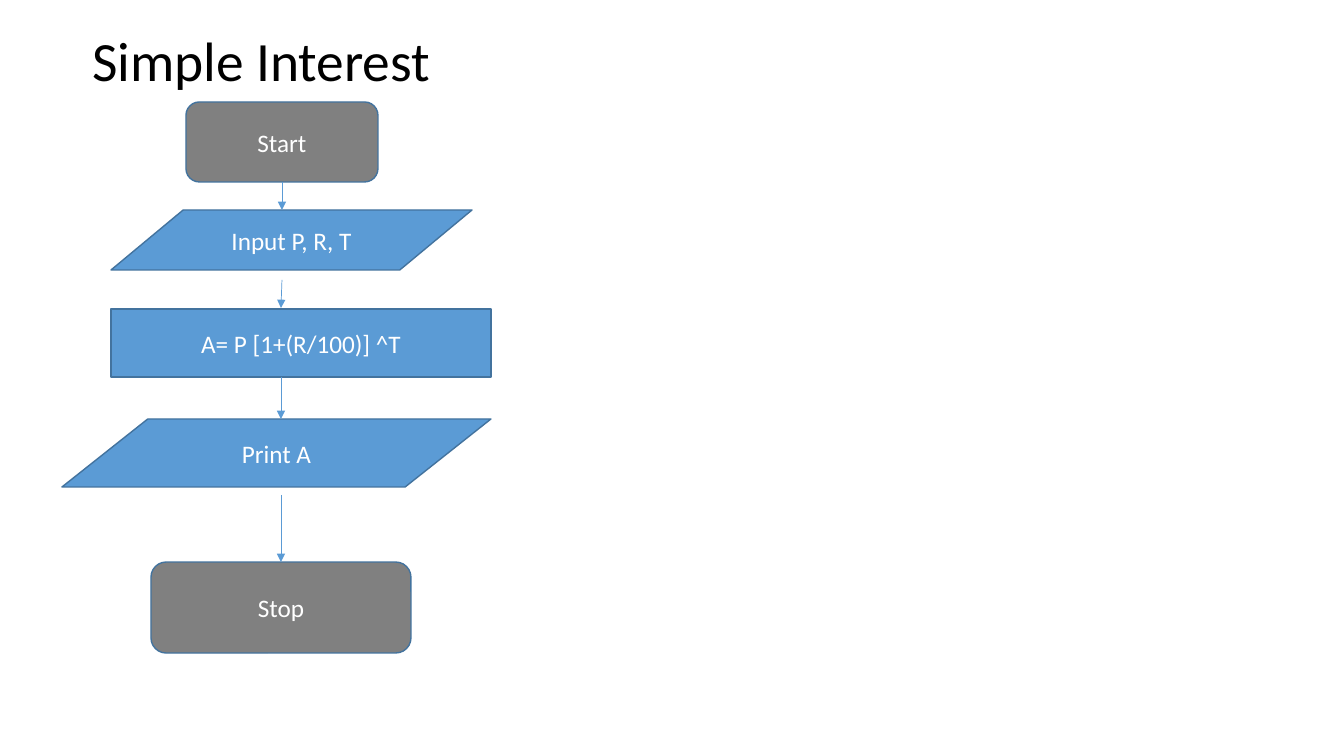
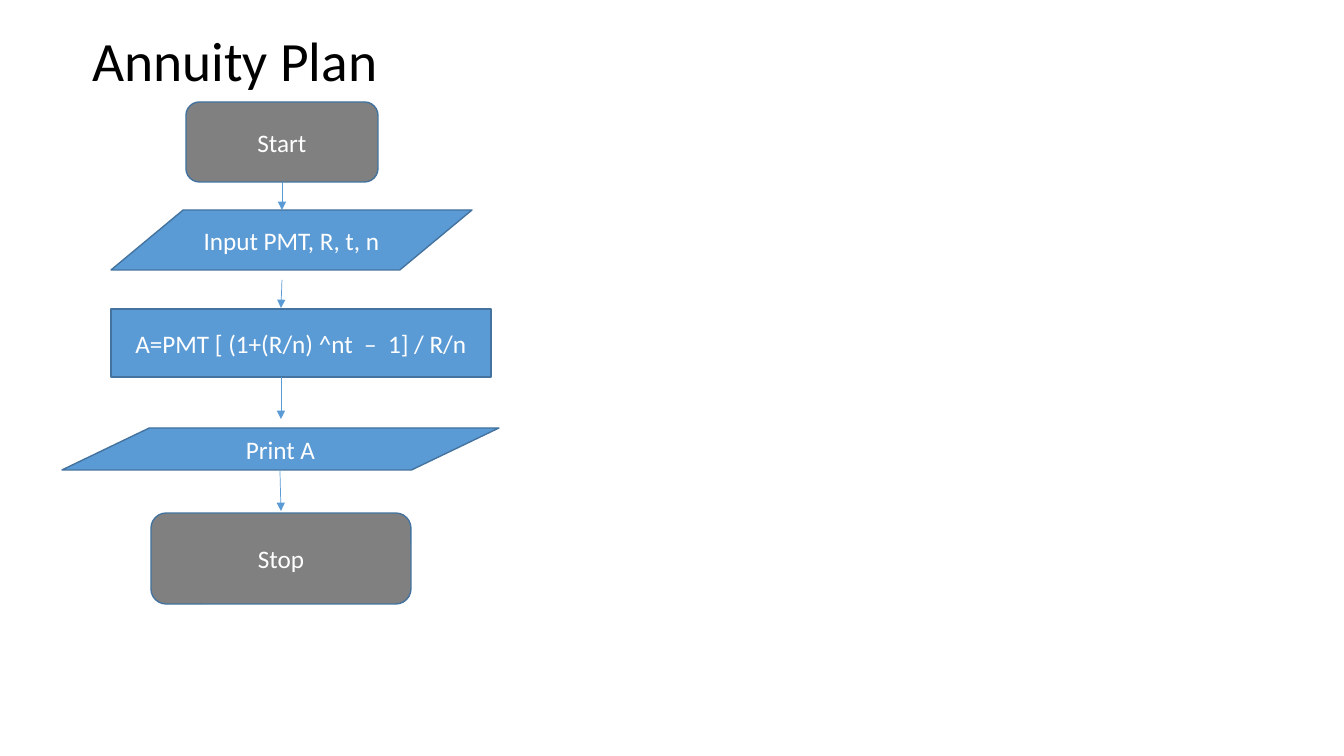
from dataclasses import dataclass

from lxml import etree
from pptx import Presentation
from pptx.dml.color import RGBColor
from pptx.enum.shapes import MSO_CONNECTOR, MSO_SHAPE
from pptx.enum.text import MSO_ANCHOR, MSO_AUTO_SIZE, PP_ALIGN
from pptx.oxml.ns import qn
from pptx.util import Emu, Pt

TERMINAL = MSO_SHAPE.FLOWCHART_ALTERNATE_PROCESS
DATA = MSO_SHAPE.FLOWCHART_DATA
PROCESS = MSO_SHAPE.FLOWCHART_PROCESS
STRAIGHT = MSO_CONNECTOR.STRAIGHT
MIDDLE = MSO_ANCHOR.MIDDLE
NO_AUTOFIT = MSO_AUTO_SIZE.NONE
LEFT, CENTER = PP_ALIGN.LEFT, PP_ALIGN.CENTER


@dataclass(frozen=True)
class Theme:
    """Colours, font and type sizes shared by the slides."""
    font: str = "Calibri"
    title_size: float = 39.6
    body_size: float = 18
    title: RGBColor = RGBColor(0x00, 0x00, 0x00)
    text: RGBColor = RGBColor(0xFF, 0xFF, 0xFF)
    terminal: RGBColor = RGBColor(0x80, 0x80, 0x80)
    step: RGBColor = RGBColor(0x5B, 0x9B, 0xD5)
    outline: RGBColor = RGBColor(0x43, 0x73, 0x9E)
    outline_width: float = 1
    arrow_width: float = 0.5


THEME = Theme()


def px(*lengths):
    """Turn whole pixels (100.8 to the inch) into a list of EMU lengths."""
    return [Emu(round(n * 914400 / 100.8)) for n in lengths]


def write(tf, text, *, size, color, align=CENTER, spacing=1.0):
    """Put one formatted, vertically centred paragraph into a text frame."""
    tf.word_wrap = True
    tf.auto_size = NO_AUTOFIT
    tf.vertical_anchor = MIDDLE
    p = tf.paragraphs[0]
    p.alignment, p.line_spacing = align, spacing
    r = p.add_run()
    r.text = text
    r.font.name, r.font.size = THEME.font, Pt(size)
    r.font.color.rgb = color


# Boxes are left, top, width, height; arrows are x1, y1, x2, y2.
START_BOX = (186, 102, 192, 80)
INPUT_BOX = (111, 210, 361, 60)
FORMULA_BOX = (111, 309, 380, 68)
SHARED_ARROWS = [(282, 182, 282, 210), (282, 280, 281, 308), (281, 377, 281, 419)]

FLOWS = [
    dict(title="Simple Interest", inputs="Input P, R, T",
         formula="A= P [1+(R/100)] ^T",
         print_box=(62, 419, 429, 68), stop_top=562,
         last_arrow=(281, 495, 281, 562)),
    dict(title="Annuity Plan", inputs="Input PMT, R, t, n",
         formula="A=PMT [ (1+(R/n) ^nt  –  1] / R/n",
         print_box=(62, 428, 437, 42), stop_top=513,
         last_arrow=(280, 471, 281, 511)),
]

prs = Presentation()
prs.slide_width, prs.slide_height = px(1344, 756)
title_only = prs.slide_layouts[5]

for flow in FLOWS:
    s = prs.slides.add_slide(title_only)
    title = s.shapes.title
    title.left, title.top, title.width, title.height = px(82, 43, 472, 41)
    write(title.text_frame, flow["title"], size=THEME.title_size,
          color=THEME.title, align=LEFT, spacing=0.9)

    steps = [
        (DATA, INPUT_BOX, flow["inputs"]),
        (PROCESS, FORMULA_BOX, flow["formula"]),
        (DATA, flow["print_box"], "Print A"),
        (TERMINAL, (151, flow["stop_top"], 260, 91), "Stop"),
        (TERMINAL, START_BOX, "Start"),
    ]
    for kind, box, text in steps:
        sp = s.shapes.add_shape(kind, *px(*box))
        sp.shadow.inherit = False
        sp.fill.solid()
        sp.fill.fore_color.rgb = THEME.terminal if kind == TERMINAL else THEME.step
        sp.line.color.rgb = THEME.outline
        sp.line.width = Pt(THEME.outline_width)
        write(sp.text_frame, text, size=THEME.body_size, color=THEME.text)

    for ends in SHARED_ARROWS + [flow["last_arrow"]]:
        arrow = s.shapes.add_connector(STRAIGHT, *px(*ends))
        arrow.line.color.rgb = THEME.step
        arrow.line.width = Pt(THEME.arrow_width)
        sp_pr = arrow._element.spPr
        etree.SubElement(sp_pr.find(qn("a:ln")), qn("a:tailEnd"), type="triangle")
        etree.SubElement(sp_pr, qn("a:effectLst"))

prs.save("out.pptx")
